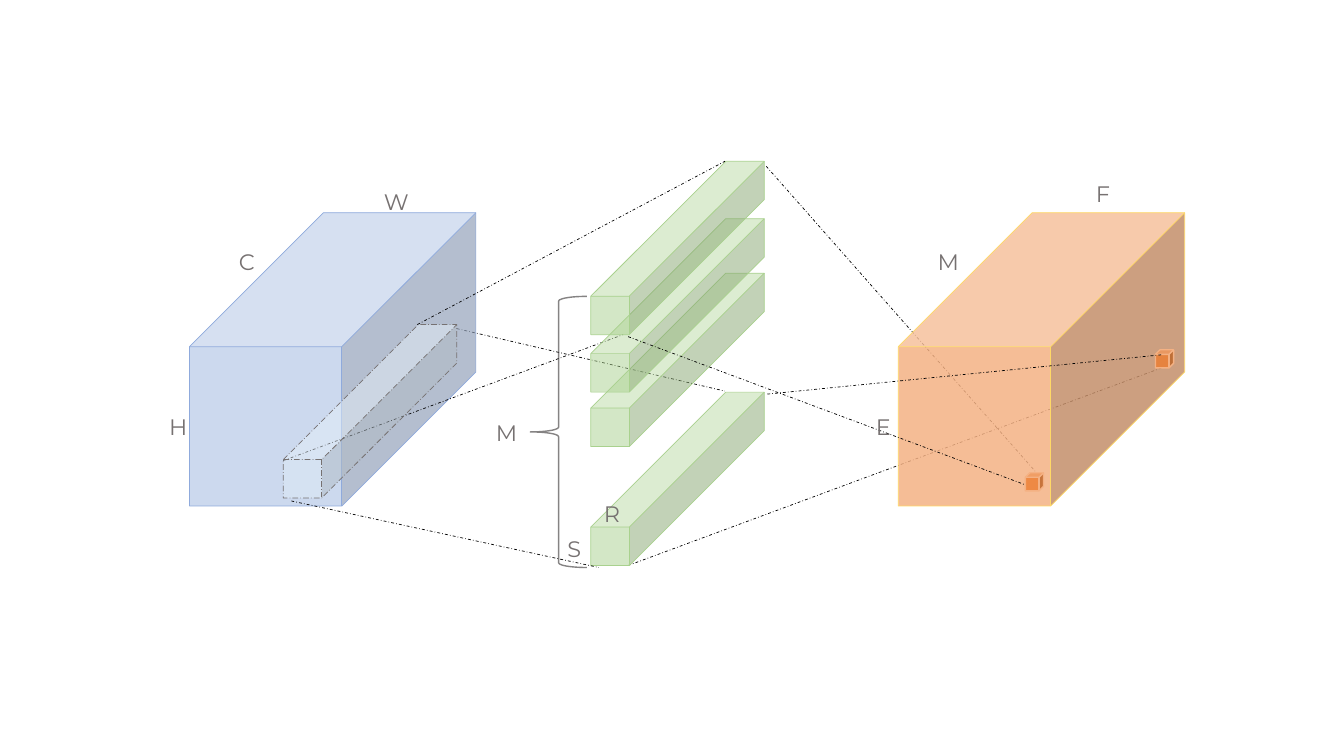
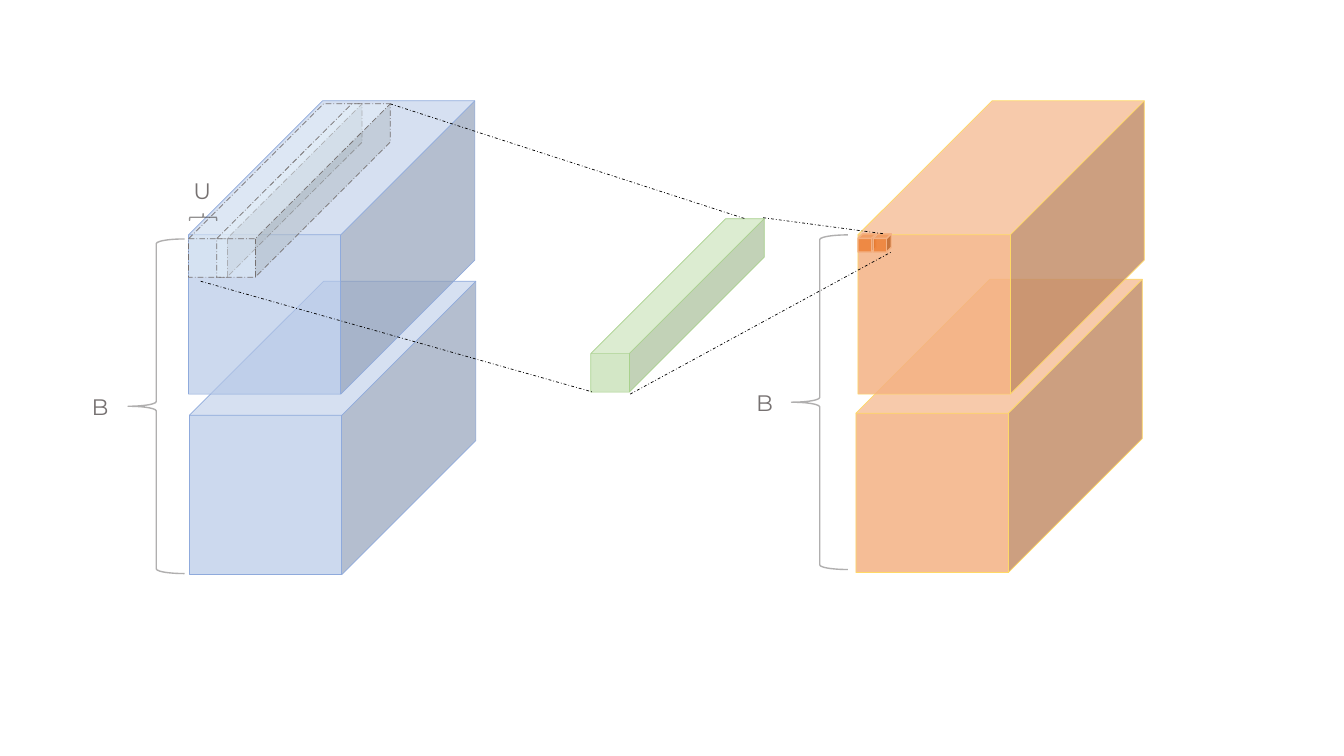
from lxml import etree
from pptx import Presentation
from pptx import util as u
from pptx.dml.color import RGBColor
from pptx.enum import dml, shapes, text
from pptx.oxml.ns import qn

FONT = "Montserrat"
GRAY = "767171"
BRACE = "3B3838"
DASH = dml.MSO_LINE.DASH_DOT
LONG_DASH = dml.MSO_LINE.LONG_DASH_DOT

# kind: width, height, depth ratio, fill, opacity %, line, line width, dash
CUBES = {
    "input": (2.84, 2.91, 0.468, "B4C7E7", 67, "8FAADC", 0.5, None),
    "output": (2.84, 2.91, 0.468, "F4B183", 84, "FFD966", 0.5, None),
    "filter": (1.72, 1.72, 0.778, "A9D18E", 50, "A9D18E", 0.5, None),
    "window": (1.72, 1.72, 0.778, "DEEBF7", 50, GRAY, 0.5, LONG_DASH),
    "pixel": (0.18, 0.18, 0.25, "ED7D31", 81, "F4B183", 1, None),
}
LETTER_WIDTHS = {"W": 0.43, "M": 0.41, "H": 0.39, "B": 0.39, "U": 0.39,
                 "C": 0.38, "R": 0.38, "S": 0.38, "E": 0.36, "F": 0.36}


def rgb(value):
    return RGBColor.from_string(value)


def set_opacity(fill, percent):
    """Add an alpha value to the colour of a solid fill element."""
    color = fill.find(qn("a:srgbClr"))
    etree.SubElement(color, qn("a:alpha")).set("val", str(percent * 1000))


def set_line(sp, color, width, dash=None):
    sp.line.color.rgb = rgb(color)
    sp.line.width = u.Pt(width)
    if dash:
        sp.line.dash_style = dash


def add_preset(s, preset, x, y, w, h):
    sp = s.shapes.add_shape(preset, *map(u.Inches, (x, y, w, h)))
    sp.shadow.inherit = False
    return sp


def cube(s, kind, x, y):
    w, h, depth, fill, opacity, line, width, dash = CUBES[kind]
    sp = add_preset(s, shapes.MSO_SHAPE.CUBE, x, y, w, h)
    sp.adjustments[0] = depth
    sp.fill.solid()
    sp.fill.fore_color.rgb = rgb(fill)
    set_opacity(sp.element.spPr.find(qn("a:solidFill")), opacity)
    set_line(sp, line, width, dash)


def brace(s, x, y, w, h, opacity, rotation=180):
    sp = add_preset(s, shapes.MSO_SHAPE.RIGHT_BRACE, x, y, w, h)
    sp.rotation = rotation
    sp.fill.background()
    set_line(sp, BRACE, 1)
    set_opacity(sp.element.spPr.find(qn("a:ln")).find(qn("a:solidFill")), opacity)


def ray(s, x1, y1, x2, y2):
    """Draw a thin dashed projection line."""
    line = s.shapes.add_connector(shapes.MSO_CONNECTOR.STRAIGHT,
                                  *map(u.Inches, (x1, y1, x2, y2)))
    set_line(line, "000000", 0.5, DASH)
    etree.SubElement(line.element.spPr, qn("a:effectLst"))


def label(s, letter, x, y):
    box = s.shapes.add_textbox(u.Inches(x), u.Inches(y),
                               u.Inches(LETTER_WIDTHS[letter]), u.Inches(0.37))
    tf = box.text_frame
    tf.word_wrap = False
    tf.auto_size = text.MSO_AUTO_SIZE.SHAPE_TO_FIT_TEXT
    p = tf.paragraphs[0]
    p.text = letter
    p.font.name = FONT
    p.font.size = u.Pt(16)
    p.font.color.rgb = rgb(GRAY)


def convolution_slide(s):
    ray(s, 7.6, 1.65, 10.28, 4.69)
    ray(s, 6.23, 5.61, 11.52, 3.65)
    ray(s, 4.53, 3.26, 7.19, 3.88)
    cube(s, "input", 1.88, 2.11)
    cube(s, "filter", 5.86, 2.71)
    cube(s, "output", 8.91, 2.11)
    ray(s, 2.81, 4.57, 6.18, 3.32)
    cube(s, "pixel", 10.17, 4.69)
    cube(s, "filter", 5.86, 2.17)
    cube(s, "filter", 5.86, 1.6)
    cube(s, "window", 2.81, 3.22)
    ray(s, 4.14, 3.22, 7.19, 1.6)
    ray(s, 6.23, 3.34, 10.17, 4.81)
    cube(s, "filter", 5.86, 3.89)
    cube(s, "pixel", 11.46, 3.47)
    ray(s, 2.89, 4.97, 5.94, 5.63)
    ray(s, 7.61, 3.91, 11.52, 3.52)
    for letter, x, y in (("H", 1.58, 4.05), ("W", 3.71, 1.82), ("C", 2.27, 2.41),
                         ("M", 9.2, 2.41), ("E", 8.59, 4.05), ("F", 10.77, 1.74),
                         ("R", 5.89, 4.91), ("S", 5.53, 5.26), ("M", 4.82, 4.11)):
        label(s, letter, x, y)
    brace(s, 5.26, 2.94, 0.56, 2.69, 62)


def batch_slide(s):
    cube(s, "output", 8.49, 2.77)
    cube(s, "input", 1.88, 2.79)
    cube(s, "output", 8.51, 1)
    cube(s, "filter", 5.86, 2.17)
    cube(s, "input", 1.87, 1)
    ray(s, 1.99, 2.79, 5.88, 3.89)
    ray(s, 3.87, 1.03, 7.39, 2.17)
    for x in (1.87, 2.15):
        cube(s, "window", x, 1.03)
    for x in (8.51, 8.66):
        cube(s, "pixel", x, 2.32)
    ray(s, 7.57, 2.16, 8.77, 2.32)
    ray(s, 6.25, 3.91, 8.84, 2.5)
    label(s, "B", 0.81, 3.85)
    label(s, "U", 1.82, 1.71)
    label(s, "B", 7.4, 3.81)
    brace(s, 1.98, 2.02, 0.07, 0.27, 55, rotation=270)
    brace(s, 1.27, 2.37, 0.56, 3.32, 40)
    brace(s, 7.85, 2.33, 0.56, 3.32, 40)


def main():
    prs = Presentation()
    prs.slide_width, prs.slide_height = u.Inches(13.33), u.Inches(7.5)
    for build in (convolution_slide, batch_slide):
        build(prs.slides.add_slide(prs.slide_layouts[6]))
    prs.save("out.pptx")


if __name__ == "__main__":
    main()
